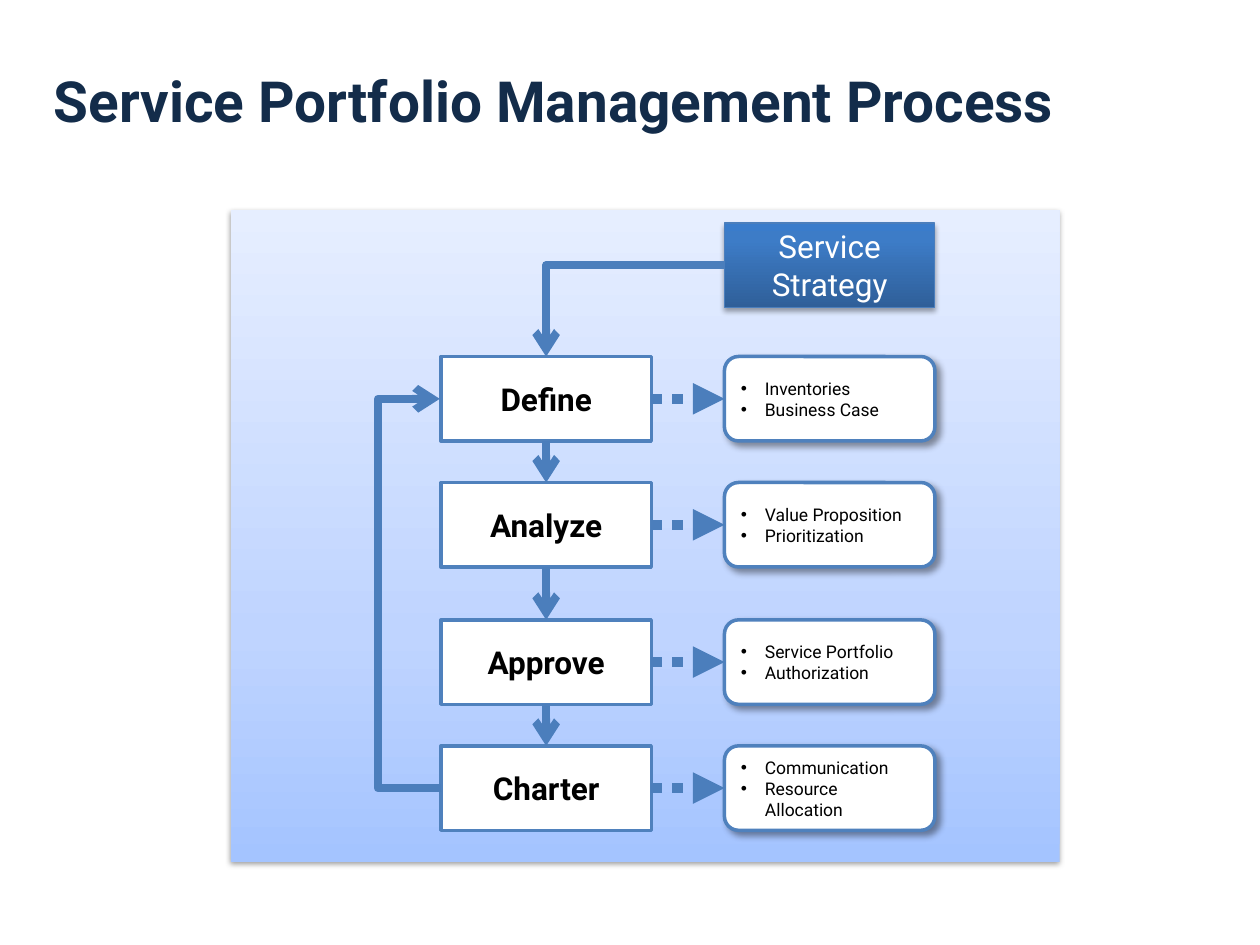
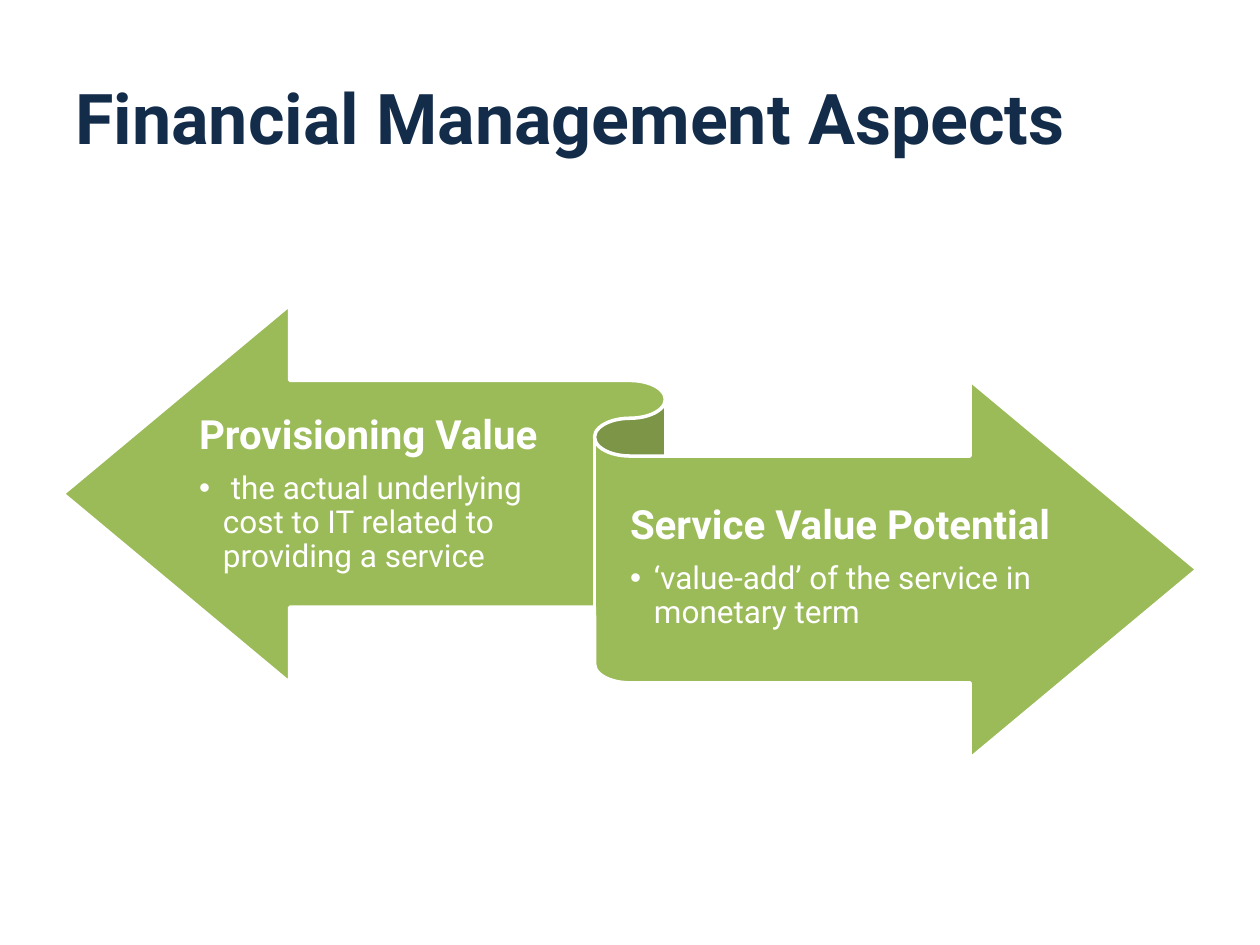
from lxml import etree
from pptx import Presentation
from pptx.dml.color import RGBColor
from pptx.enum.shapes import MSO_CONNECTOR, MSO_SHAPE
from pptx.enum.text import MSO_ANCHOR, PP_ALIGN
from pptx.oxml.ns import qn
from pptx.util import Inches, Pt

RECT = MSO_SHAPE.RECTANGLE
ROUNDED = MSO_SHAPE.ROUNDED_RECTANGLE
RIBBON = MSO_SHAPE.LEFT_RIGHT_RIBBON
STRAIGHT = MSO_CONNECTOR.STRAIGHT
ELBOW = MSO_CONNECTOR.ELBOW
MIDDLE = MSO_ANCHOR.MIDDLE
LEFT, CENTER = PP_ALIGN.LEFT, PP_ALIGN.CENTER

FONT = "Roboto"
NAVY, BLACK, WHITE = "132C4A", "000000", "FFFFFF"
OUTLINE, ARROW, GREEN = "4F81BD", "4B7EBC", "9BBB59"
PANEL_STOPS = [(0, "A4C4FF"), (35, "BFD4FF"), (100, "E6EEFF")]
STRATEGY_STOPS = [(0, "2F5F99"), (80, "3D7CC7"), (100, "3A7CCB")]

# Connection sites of a rectangle
TOP_SITE, LEFT_SITE, BOTTOM_SITE, RIGHT_SITE = range(4)

BOX_WIDTH, BOX_HEIGHT = 1.67, 0.67
STEP_LEFT, OUTPUT_LEFT = 3.5, 5.75
BULLET_INDENT = 0.19
STEPS = [
    (2.83, "Define", ["Inventories", "Business Case"]),
    (3.83, "Analyze", ["Value Proposition", "Prioritization"]),
    (4.92, "Approve", ["Service Portfolio", "Authorization"]),
    (5.92, "Charter", ["Communication", "Resource Allocation"]),
]


def color(value):
    return RGBColor.from_string(value)


def add_element(parent, tag, **attributes):
    child = etree.SubElement(parent, qn(tag))
    for name, value in attributes.items():
        child.set(name, str(value))
    return child


def add_color(parent, value, alpha=None):
    node = add_element(parent, "a:srgbClr", val=value)
    if alpha is not None:
        add_element(node, "a:alpha", val=alpha * 1000)


def set_gradient(shape, stops):
    """Fill with stops (percent, colour) that run from bottom to top."""
    shape.fill.gradient()
    shape.fill.gradient_angle = 90
    stop_list = shape._element.spPr.find(".//" + qn("a:gsLst"))
    for old_stop in list(stop_list):
        stop_list.remove(old_stop)
    for percent, value in stops:
        add_color(add_element(stop_list, "a:gs", pos=percent * 1000), value)


def set_shadow(shape, alpha, blur, distance, angle):
    effects = shape._element.spPr.find(qn("a:effectLst"))
    shadow = add_element(effects, "a:outerShdw", blurRad=Pt(blur), dist=Pt(distance),
                         dir=angle * 60000, algn="ctr", rotWithShape=0)
    add_color(shadow, BLACK, alpha)


def set_bullet(para):
    indent = Inches(BULLET_INDENT)
    properties = para._p.get_or_add_pPr()
    properties.set("marL", str(indent))
    properties.set("indent", str(-indent))
    add_element(properties, "a:buFont", typeface="Arial")
    add_element(properties, "a:buChar", char="•")


def format_para(para, size, value, bold=False, align=LEFT):
    para.alignment = align
    for span in para.runs:
        span.font.name = FONT
        span.font.size = Pt(size)
        span.font.bold = bold
        span.font.color.rgb = color(value)


def add_box(page, kind, left, top, width, height, fill=None, line=None, line_width=2):
    box = page.shapes.add_shape(kind, Inches(left), Inches(top), Inches(width), Inches(height))
    box.shadow.inherit = False
    if fill:
        box.fill.solid()
        box.fill.fore_color.rgb = color(fill)
    if line:
        box.line.color.rgb = color(line)
        box.line.width = Pt(line_width)
    else:
        box.line.fill.background()
    return box


def write_lines(box, lines, size, value, bold=False, align=CENTER, bullets=False):
    frame = box.text_frame
    frame.text = "\n".join(lines)
    frame.word_wrap = True
    frame.vertical_anchor = MIDDLE
    for para in frame.paragraphs:
        format_para(para, size, value, bold, align)
        if bullets:
            set_bullet(para)


def add_title(page, text, left, top, size):
    box = page.shapes.add_textbox(Inches(left), Inches(top), Inches(9), Inches(1.25))
    write_lines(box, [text], size, NAVY, bold=True, align=LEFT)


def add_arrow(page, source, source_site, target, target_site,
              kind=STRAIGHT, width=4.5, head="arrow", dash=None):
    """Join two boxes, with the arrowhead at the target."""
    arrow = page.shapes.add_connector(kind, 0, 0, 0, 0)
    arrow.begin_connect(source, source_site)
    arrow.end_connect(target, target_site)
    arrow.line.color.rgb = color(ARROW)
    arrow.line.width = Pt(width)
    line = arrow.line._get_or_add_ln()
    if dash:
        add_element(line, "a:prstDash", val=dash)
    add_element(line, "a:tailEnd", type=head)
    add_element(arrow._element.spPr, "a:effectLst")
    return arrow


def add_corner_arrow(page, source, target):
    """Leave the source to the left and turn once, down to the target."""
    arrow = add_arrow(page, source, LEFT_SITE, target, TOP_SITE, ELBOW)
    arrow._element.spPr.find(qn("a:prstGeom")).set("prst", "bentConnector2")


def add_return_arrow(page, source, target, reach):
    """Lead back up to the target, around the left side of the boxes."""
    arrow = add_arrow(page, source, LEFT_SITE, target, LEFT_SITE, ELBOW)
    span = Inches(0.01)
    arrow.end_x = target.left - span
    frame = arrow._element.spPr.find(qn("a:xfrm"))
    frame.flipH = frame.flipV = False
    frame.rot = 180
    geometry = arrow._element.spPr.find(qn("a:prstGeom"))
    guides = geometry.find(qn("a:avLst"))
    if guides is None:
        guides = add_element(geometry, "a:avLst")
    ratio = round(Inches(reach) / span * 100000)
    add_element(guides, "a:gd", name="adj1", fmla=f"val {ratio}")


def add_value_text(page, left, top, width, heading, detail):
    box = page.shapes.add_textbox(Inches(left), Inches(top), Inches(width), Inches(1.76))
    frame = box.text_frame
    write_lines(box, [heading, detail], 18, WHITE, align=LEFT)
    frame.margin_left = frame.margin_right = 0
    frame.margin_top, frame.margin_bottom = Inches(0.09), Inches(0.1)
    heading_para, detail_para = frame.paragraphs
    format_para(heading_para, 23, WHITE, bold=True)
    for para, gap in ((heading_para, 8), (detail_para, 3)):
        para.line_spacing = 0.9
        para.space_after = Pt(gap)
    set_bullet(detail_para)


def build_process(page):
    panel = add_box(page, RECT, 1.83, 1.67, 6.58, 5.17)
    set_gradient(panel, PANEL_STOPS)
    set_shadow(panel, 38, 3.1, 1.6, 90)
    add_title(page, "Service Portfolio Management Process", 0.33, 0.17, 32.4)

    strategy = add_box(page, RECT, OUTPUT_LEFT, 1.77, BOX_WIDTH, BOX_HEIGHT,
                       line=ARROW, line_width=0.75)
    set_gradient(strategy, STRATEGY_STOPS)
    set_shadow(strategy, 35, 3.1, 1.8, 90)
    write_lines(strategy, ["Service", "Strategy"], 18, WHITE)

    steps = []
    for top, name, results in STEPS:
        step = add_box(page, RECT, STEP_LEFT, top, BOX_WIDTH, BOX_HEIGHT, WHITE, OUTLINE)
        write_lines(step, [name], 18, BLACK, bold=True)
        output = add_box(page, ROUNDED, OUTPUT_LEFT, top, BOX_WIDTH, BOX_HEIGHT, WHITE, OUTLINE)
        set_shadow(output, 40, 4, 3, 45)
        write_lines(output, results, 10, BLACK, align=LEFT, bullets=True)
        add_arrow(page, step, RIGHT_SITE, output, LEFT_SITE,
                  width=6, head="triangle", dash="sysDot")
        steps.append(step)

    for step, next_step in zip(steps, steps[1:]):
        add_arrow(page, step, BOTTOM_SITE, next_step, TOP_SITE)
    add_corner_arrow(page, strategy, steps[0])
    add_return_arrow(page, steps[-1], steps[0], reach=0.51)


def build_aspects(page):
    add_title(page, "Financial Management Aspects", 0.5, 0.3, 40)
    add_box(page, RIBBON, 0.5, 2.42, 9, 3.6, GREEN, WHITE)
    add_value_text(page, 1.58, 3.05, 2.97, "Provisioning Value",
                   " the actual underlying cost to IT related to providing a service")
    add_value_text(page, 5, 3.63, 3.51, "Service Value Potential",
                   "‘value-add’ of the service in monetary term")


def main():
    deck = Presentation()
    deck.slide_width, deck.slide_height = Inches(10), Inches(7.5)
    blank = deck.slide_layouts[6]
    for build in (build_process, build_aspects):
        build(deck.slides.add_slide(blank))
    deck.save("out.pptx")


if __name__ == "__main__":
    main()
